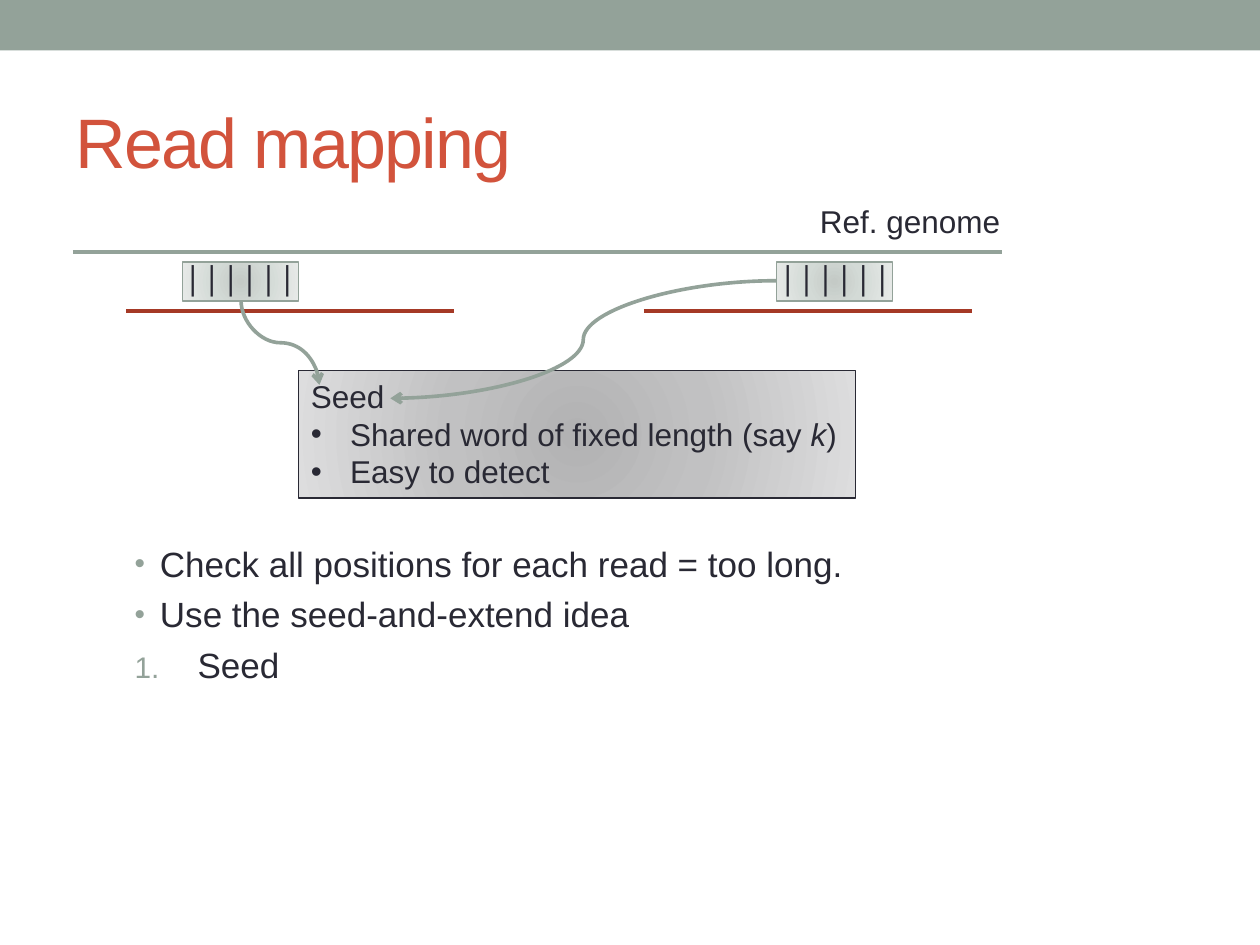
from lxml import etree
from pptx import Presentation
from pptx.dml.color import RGBColor
from pptx.enum import shapes, text
from pptx.oxml import parse_xml
from pptx.oxml import ns
from pptx.util import Cm, Pt

HUES = {"sage": "93A299", "title": "D2533C", "ink": "292934", "read": "A53926"}
CHIP = ("C4CAC6", "D3DAD6", "E7EAE8")
GREY = ("B2B2B3", "C1C1C2", "DDDDDE")


def hue(name):
    """Return the named colour."""
    return RGBColor.from_string(HUES[name])


def sub(node, tag, **attrs):
    """Append a drawing element to a node."""
    return etree.SubElement(node, ns.qn(tag), attrs)


def style(para, size, face="Arial", color="ink"):
    """Set the font of a whole paragraph."""
    para.alignment = text.PP_ALIGN.LEFT
    para.font.size = Pt(size)
    para.font.name = face
    para.font.color.rgb = hue(color)


def mark(para, left, hang, number=False, color=None):
    """Give a paragraph a bullet or a number with a hanging indent."""
    props = para._p.get_or_add_pPr()
    props.set("marL", str(Cm(left)))
    props.set("indent", str(-Cm(hang)))
    if color:
        sub(sub(props, "a:buClr"), "a:srgbClr", val=HUES[color])
        sub(props, "a:buSzPct", val="85000")
    sub(props, "a:buFont", typeface="Arial")
    if number:
        sub(props, "a:buAutoNum", type="arabicPeriod")
    else:
        sub(props, "a:buChar", char="•")


def place(item, box):
    """Move and size a placeholder."""
    item.left, item.top, item.width, item.height = map(Cm, box)


def block(slide, box, stops=None, edge=None):
    """Add a rectangle, sage or with a round gradient."""
    item = slide.shapes.add_shape(shapes.MSO_SHAPE.RECTANGLE, *map(Cm, box))
    item.shadow.inherit = False
    if stops:
        marks = "".join(
            f'<a:gs pos="{pos}"><a:srgbClr val="{val}"/></a:gs>'
            for pos, val in zip((0, 45000, 100000), stops))
        item._element.spPr.insert(2, parse_xml(
            f'<a:gradFill {ns.nsdecls("a")} rotWithShape="1"><a:gsLst>{marks}</a:gsLst>'
            '<a:path path="circle"><a:fillToRect l="100000" t="100000" '
            'r="100000" b="100000"/></a:path></a:gradFill>'))
    else:
        item.fill.solid()
        item.fill.fore_color.rgb = hue("sage")
    if edge:
        item.line.color.rgb = hue(edge)
        item.line.width = Pt(0.75)
    else:
        item.line.fill.background()
    return item


def wire(slide, ends, color="sage", curve=False, turn=0):
    """Add a straight line or a curved arrow."""
    kind = shapes.MSO_CONNECTOR.CURVE if curve else shapes.MSO_CONNECTOR.STRAIGHT
    item = slide.shapes.add_connector(kind, *map(Cm, ends))
    item.line.color.rgb = hue(color)
    item.line.width = Pt(2.08)
    props = item._element.spPr
    if curve:
        sub(item.line._ln, "a:tailEnd", type="arrow")
    if turn:
        props.find(ns.qn("a:xfrm")).set("rot", str(turn * 60000))
    sub(props, "a:effectLst")


def label(slide, box, words, face="Arial", wrap=True):
    """Add a one-line text box."""
    frame = slide.shapes.add_textbox(*map(Cm, box)).text_frame
    frame.word_wrap = wrap
    frame.auto_size = text.MSO_AUTO_SIZE.SHAPE_TO_FIT_TEXT
    frame.text = words
    style(frame.paragraphs[0], 18, face)


def heading(slide):
    """Fill the title."""
    item = slide.shapes.title
    place(item, (1.27, 1.47, 22.86, 2.74))
    frame = item.text_frame
    frame.auto_size = text.MSO_AUTO_SIZE.NONE
    frame.vertical_anchor = text.MSO_ANCHOR.MIDDLE
    frame.text = "Read mapping"
    para = frame.paragraphs[0]
    style(para, 40, color="title")
    para.runs[0].font._element.set("spc", "-100")


def steps(slide):
    """Fill the body list."""
    item = slide.placeholders[1]
    place(item, (1.7, 10.8, 22.86, 13.54))
    frame = item.text_frame
    frame.auto_size = text.MSO_AUTO_SIZE.NONE
    frame.text = ("Check all positions for each read = too long.\n"
                  "Use the seed-and-extend idea\nSeed")
    for row, para in enumerate(frame.paragraphs):
        last = row == 2
        para.level = 1
        mark(para, 2.03 if last else 1.27, 1.27 if last else 0.51, last, "sage")
        para.space_before = Pt(5 if row else 0)
        style(para, 20)


def seed(slide):
    """Add the box that explains a seed."""
    frame = block(slide, (6.02, 7.47, 11.23, 2.57), GREY, "ink").text_frame
    frame.word_wrap = True
    frame.auto_size = text.MSO_AUTO_SIZE.SHAPE_TO_FIT_TEXT
    frame.vertical_anchor = text.MSO_ANCHOR.TOP
    frame.text = "Seed\nShared word of fixed length (say \nEasy to detect"
    paras = frame.paragraphs
    for para in paras[1:]:
        mark(para, 0.79, 0.79)
    for para in paras:
        style(para, 18)
    word = paras[1].add_run()
    word.text = "k"
    word.font.italic = True
    paras[1].add_run().text = ")"


def main():
    """Build the slide."""
    deck = Presentation()
    deck.slide_width, deck.slide_height = Cm(25.4), Cm(19.05)
    slide = deck.slides.add_slide(deck.slide_layouts[1])
    block(slide, (0, 0, 25.4, 1.02))
    heading(slide)
    wire(slide, (1.47, 5.08, 20.19, 5.08))
    label(slide, (16.28, 3.94, 7.8, 1.02), "Ref. genome")
    steps(slide)
    for chip, read in ((3.68, 2.54), (15.65, 12.98)):
        block(slide, (chip, 5.28, 2.34, 0.79), CHIP, "sage")
        wire(slide, (read, 6.27, read + 6.61, 6.27), "read")
    seed(slide)
    wire(slide, (6.5, 6.12, 4.8, 7.7), curve=True, turn=270)
    wire(slide, (15.65, 5.66, 7.87, 8.03), curve=True)
    for left in (3.45, 15.44):
        label(slide, (left, 5.08, 2.82, 1.02), "||||||", "Noto Sans Mono", False)
    deck.save("out.pptx")


if __name__ == "__main__":
    main()
